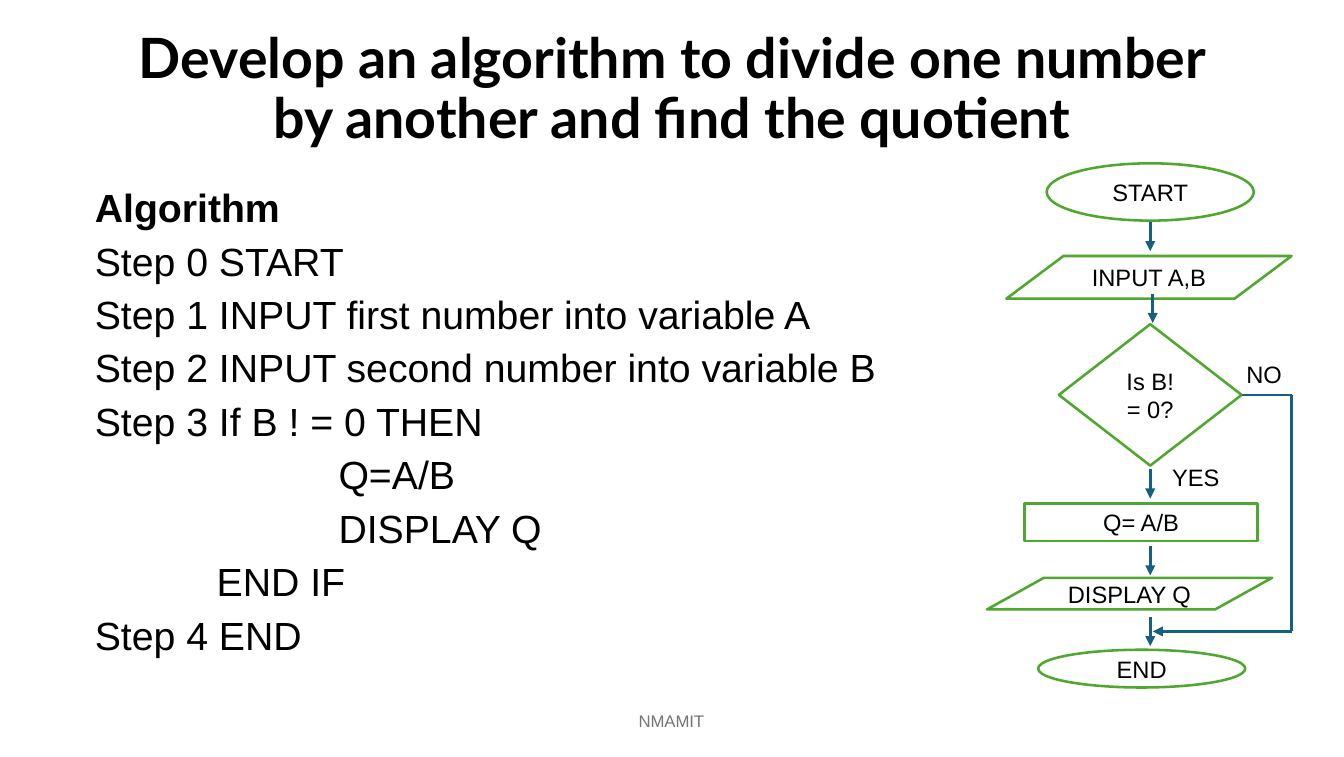
from lxml import etree
from pptx import Presentation
from pptx.dml.color import RGBColor
from pptx.enum.shapes import MSO_CONNECTOR, MSO_SHAPE as Shape
from pptx.enum.text import MSO_ANCHOR as Anchor, PP_ALIGN as Align
from pptx.oxml.ns import qn
from pptx.util import Inches, Pt

BLACK = RGBColor(0x00, 0x00, 0x00)
WHITE = RGBColor(0xFF, 0xFF, 0xFF)
GRAY = RGBColor(0x75, 0x75, 0x75)
GREEN = RGBColor(0x4E, 0xA7, 0x2E)
BLUE = RGBColor(0x15, 0x60, 0x82)

LABEL_SIZE = 14
LINE_WIDTH = Pt(1.5)
FLOW_X = 9.44
BYPASS_X = 10.6
BYPASS_Y = 5.18

# Text and indent in inches
STEPS = [
    ("Algorithm", 0),
    ("Step 0 START", 0),
    ("Step 1 INPUT first number into variable A", 0),
    ("Step 2 INPUT second number into variable B", 0),
    ("Step 3 If B ! = 0 THEN", 0),
    ("Q=A/B", 2),
    ("DISPLAY Q", 2),
    ("END IF", 1),
    ("Step 4 END", 0),
]

# Text, shape, left, top, width, height
NODES = [
    ("START", Shape.OVAL, 8.59, 1.34, 1.7, 0.47),
    ("INPUT A,B", Shape.FLOWCHART_DATA, 8.26, 2.1, 2.34, 0.35),
    ("Is B! = 0?", Shape.DIAMOND, 8.69, 2.66, 1.5, 1.16),
    ("Q= A/B", Shape.RECTANGLE, 8.41, 4.13, 1.91, 0.31),
    ("DISPLAY Q", Shape.FLOWCHART_DATA, 8.1, 4.74, 2.34, 0.26),
    ("END", Shape.OVAL, 8.52, 5.33, 1.7, 0.31),
]

# Horizontal position and top of each short downward arrow
ARROWS = [(FLOW_X, 1.82), (9.46, 2.41), (FLOW_X, 3.85), (FLOW_X, 4.48), (FLOW_X, 5.06)]
ARROW_LENGTH = 0.24


def set_values(target, values):
    for name, value in values.items():
        setattr(target, name, value)


def add_para(frame, text, size, first=True, color=BLACK, font="Arial", bold=False, **layout):
    para = frame.paragraphs[0] if first else frame.add_paragraph()
    span = para.add_run()
    span.text = text
    set_values(para, layout)
    set_values(span.font, {"name": font, "size": Pt(size), "bold": bold})
    span.font.color.rgb = color
    return para


def add_box(page, left, top, width, height, anchor=Anchor.TOP):
    box = page.shapes.add_textbox(Inches(left), Inches(top), Inches(width), Inches(height))
    set_values(box.text_frame, {"word_wrap": True, "vertical_anchor": anchor})
    return box.text_frame


def add_steps(page):
    frame = add_box(page, 0.68, 1.5, 9.51, 3.94)
    for index, (text, indent) in enumerate(STEPS):
        first = index == 0
        para = add_para(frame, text, 23.2, first, bold=first,
                        line_spacing=0.9, space_before=Pt(0 if first else 6.5))
        if indent:
            para._p.get_or_add_pPr().set("marL", str(Inches(indent)))


def add_node(page, text, kind, left, top, width, height):
    node = page.shapes.add_shape(kind, Inches(left), Inches(top), Inches(width), Inches(height))
    node.shadow.inherit = False
    node.fill.solid()
    node.fill.fore_color.rgb = WHITE
    node.line.color.rgb = GREEN
    node.line.width = LINE_WIDTH
    set_values(node.text_frame, {"word_wrap": True, "vertical_anchor": Anchor.MIDDLE})
    add_para(node.text_frame, text, LABEL_SIZE, alignment=Align.CENTER)
    return node


def add_line(page, start, end, arrow=True):
    line = page.shapes.add_connector(MSO_CONNECTOR.STRAIGHT, *map(Inches, start + end))
    line.line.color.rgb = BLUE
    line.line.width = LINE_WIDTH
    if arrow:
        etree.SubElement(line.line._get_or_add_ln(), qn("a:tailEnd"), type="triangle")
    etree.SubElement(line._element.spPr, qn("a:effectLst"))
    return line


def add_flowchart(page):
    nodes = {node[0]: add_node(page, *node) for node in NODES}
    for x, top in ARROWS:
        add_line(page, (x, top), (x, top + ARROW_LENGTH))

    branch = add_line(page, (10.19, 3.24), (BYPASS_X, 3.24), arrow=False)
    branch.begin_connect(nodes["Is B! = 0?"], 3)
    add_line(page, (BYPASS_X, 3.24), (BYPASS_X, BYPASS_Y), arrow=False)
    add_line(page, (BYPASS_X, BYPASS_Y), (9.46, BYPASS_Y))

    add_para(add_box(page, 9.52, 3.75, 0.71, 0.34), "YES", LABEL_SIZE)
    add_para(add_box(page, 10.13, 2.9, 0.58, 0.34), "NO", LABEL_SIZE)


def main():
    deck = Presentation()
    set_values(deck, {"slide_width": Inches(11.03), "slide_height": Inches(6.21)})
    page = deck.slides.add_slide(deck.slide_layouts[6])

    title = add_box(page, 0.76, 0.14, 9.51, 1.2, Anchor.MIDDLE)
    add_para(title, "Develop an algorithm to divide one number by another and find the quotient",
             32.8, font="Lato", bold=True, alignment=Align.CENTER, line_spacing=0.9)
    add_steps(page)
    add_flowchart(page)
    footer = add_box(page, 3.65, 5.75, 3.72, 0.33, Anchor.MIDDLE)
    add_para(footer, "NMAMIT", 9.9, color=GRAY, alignment=Align.CENTER)

    deck.save("out.pptx")


if __name__ == "__main__":
    main()
